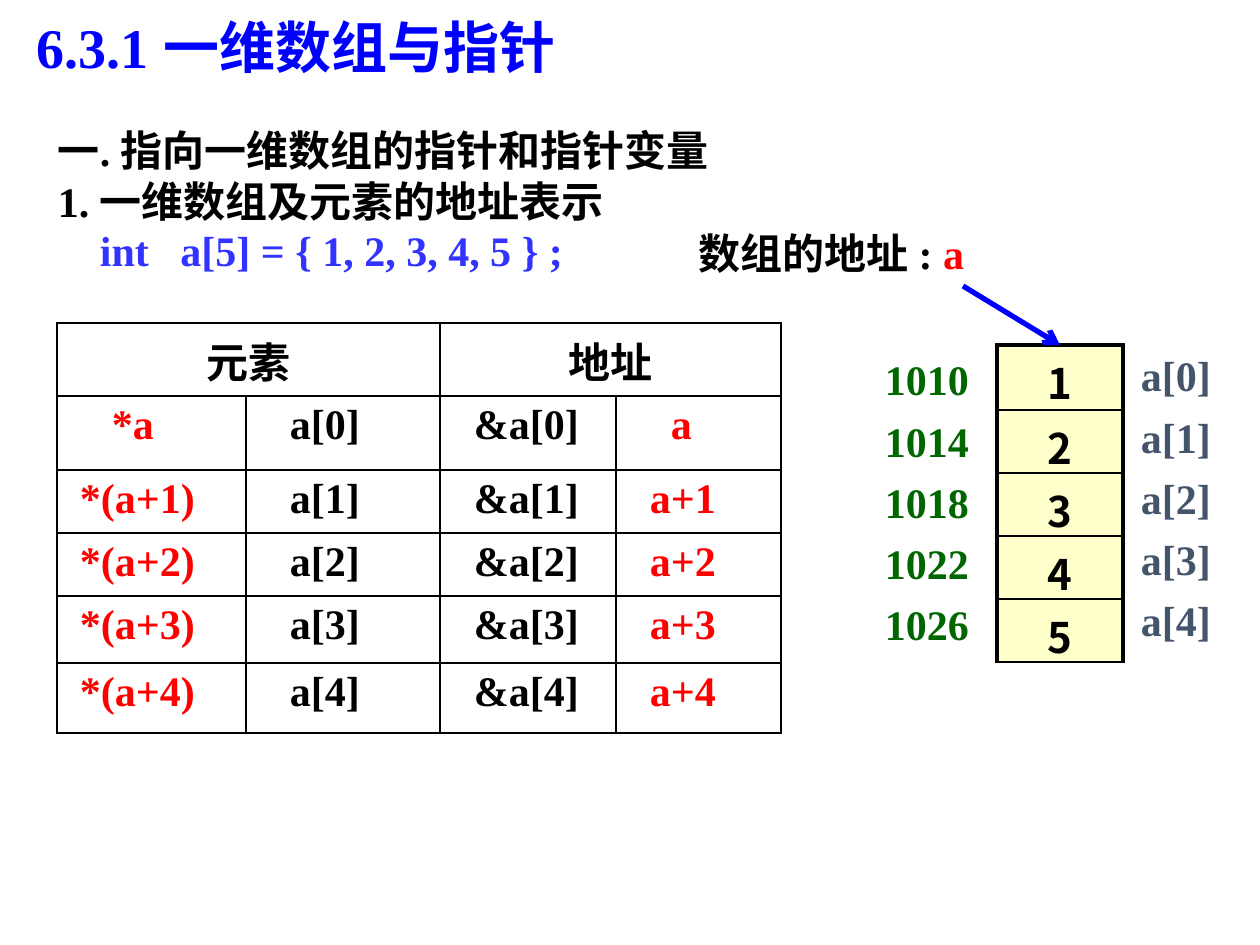
from lxml import etree
from pptx import Presentation
from pptx.dml.color import RGBColor
from pptx.enum.shapes import MSO_CONNECTOR
from pptx.enum.text import MSO_ANCHOR, PP_ALIGN
from pptx.oxml.ns import qn
from pptx.util import Pt

PX = 7257.6
BLACK = RGBColor(0, 0, 0)
BLUE = RGBColor(0, 0, 255)
CODE_BLUE = RGBColor(0x33, 0x33, 0xFF)
RED = RGBColor(255, 0, 0)
GREEN = RGBColor(0, 0x66, 0)
SLATE = RGBColor(0x44, 0x54, 0x6A)
CREAM = RGBColor(0xFF, 0xFF, 0xCC)
SERIF = "Times New Roman"
SANS = "Noto Sans CJK KR"
STRAIGHT = MSO_CONNECTOR.STRAIGHT
CENTER = PP_ALIGN.CENTER
BOTTOM = MSO_ANCHOR.BOTTOM


def emu(px):
    return round(px * PX)


def style(item, color, size=24, name=SERIF):
    font = item.font
    font.size = Pt(size)
    font.name = name
    font.bold = True
    font.color.rgb = color


def add_text(s, box, lines, spacing, size=24, anchor=None):
    tf = s.shapes.add_textbox(*map(emu, box)).text_frame
    tf.word_wrap = True
    tf.margin_left = tf.margin_right = tf.margin_top = tf.margin_bottom = 0
    if anchor is not None:
        tf.vertical_anchor = anchor
    for i, (text, color) in enumerate(lines):
        p = tf.paragraphs[0] if i == 0 else tf.add_paragraph()
        p.text = text
        p.line_spacing = spacing
        style(p, color, size)
    return tf


def set_borders(cell, widths):
    tc_pr = cell._tc.get_or_add_tcPr()
    for i, (side, width) in enumerate(zip("LRTB", widths)):
        ln = etree.Element(qn(f"a:ln{side}"), w=str(Pt(width)))
        fill = etree.SubElement(ln, qn("a:solidFill"))
        etree.SubElement(fill, qn("a:srgbClr"), val=str(BLACK))
        tc_pr.insert(i, ln)


def add_grid(s, left, top, cols, rows):
    box = map(emu, (left, top, sum(cols), sum(rows)))
    table = s.shapes.add_table(len(rows), len(cols), *box).table
    table.first_row = table.horz_banding = False
    for col, width in zip(table.columns, cols):
        col.width = emu(width)
    for row, height in zip(table.rows, rows):
        row.height = emu(height)
    return table


def fill_cell(cell, text, color=BLACK, name=SERIF, indent=None):
    p = cell.text_frame.paragraphs[0]
    p.text = text
    if indent is None:
        p.alignment = CENTER
    else:
        cell.margin_left = emu(indent)
    style(p, color, name=name)


def add_address_table(s):
    table = add_grid(s, 57, 323, (189, 194, 176, 165), (73, 74, 63, 63, 67, 70))
    for cell in table.iter_cells():
        cell.fill.background()
        set_borders(cell, (1, 1, 1, 1))
    for col, text in ((0, "元素"), (2, "地址")):
        table.cell(0, col).merge(table.cell(0, col + 1))
        fill_cell(table.cell(0, col), text)
    for i in range(5):
        pointer, address, first, second = (
            (f"*(a+{i})", f"a+{i}", 23, 34) if i else ("*a", "a", 55, 55))
        entries = ((pointer, RED, first), (f"a[{i}]", BLACK, 44),
                   (f"&a[{i}]", BLACK, 34), (address, RED, second))
        for col, (text, color, indent) in enumerate(entries):
            fill_cell(table.cell(i + 1, col), text, color, indent=indent)


def add_memory_table(s):
    table = add_grid(s, 997, 345, (126,), (65, 63, 63, 63, 63))
    for i, cell in enumerate(table.iter_cells()):
        cell.fill.solid()
        cell.fill.fore_color.rgb = CREAM
        set_borders(cell, (2.25, 2.25, 1 if i else 2.25, 1))
        cell.margin_top = emu(6)
        cell.margin_bottom = 0
        fill_cell(cell, str(i + 1), name=SANS)


def add_arrow(s, start, end):
    line = s.shapes.add_connector(STRAIGHT, *map(emu, start + end))
    line.line.color.rgb = BLUE
    line.line.width = Pt(3)
    etree.SubElement(line.line._get_or_add_ln(), qn("a:tailEnd"), type="arrow")
    etree.SubElement(line._element.spPr, qn("a:effectLst"))


def main():
    prs = Presentation()
    prs.slide_width, prs.slide_height = emu(1260), emu(945)
    s = prs.slides.add_slide(prs.slide_layouts[6])

    add_text(s, (37, 16, 650, 65), [("6.3.1 一维数组与指针", BLUE)], 0.9, 32, BOTTOM)
    add_text(s, (58, 123, 960, 104),
             [("一. 指向一维数组的指针和指针变量", BLACK),
              ("1. 一维数组及元素的地址表示", BLACK)], Pt(29.5))
    add_text(s, (100, 223, 560, 52), [("int   a[5] = { 1, 2, 3, 4, 5 } ;", CODE_BLUE)], Pt(29.5))
    tf = add_text(s, (699, 226, 330, 52), [("数组的地址 : ", BLACK)], Pt(29.5))
    r = tf.paragraphs[0].add_run()
    r.text = "a"
    r.font.color.rgb = RED

    add_address_table(s)
    add_text(s, (1141, 339, 100, 306), [(f"a[{i}]", SLATE) for i in range(5)], Pt(35))
    add_text(s, (885, 343, 100, 306), [(str(1010 + 4 * i), GREEN) for i in range(5)], Pt(35))
    add_memory_table(s)
    add_arrow(s, (963, 286), (1060, 345))
    prs.save("out.pptx")


if __name__ == "__main__":
    main()
